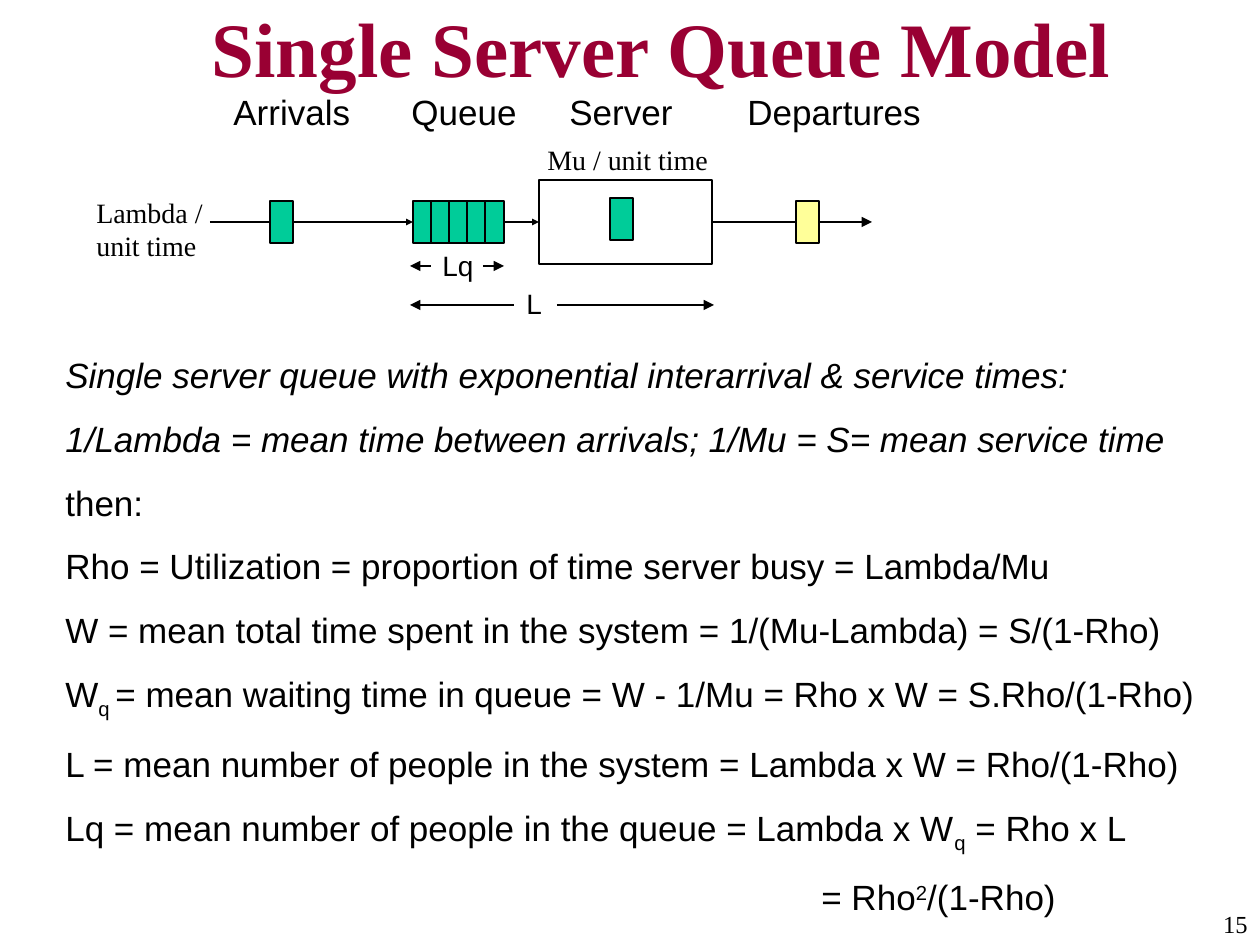
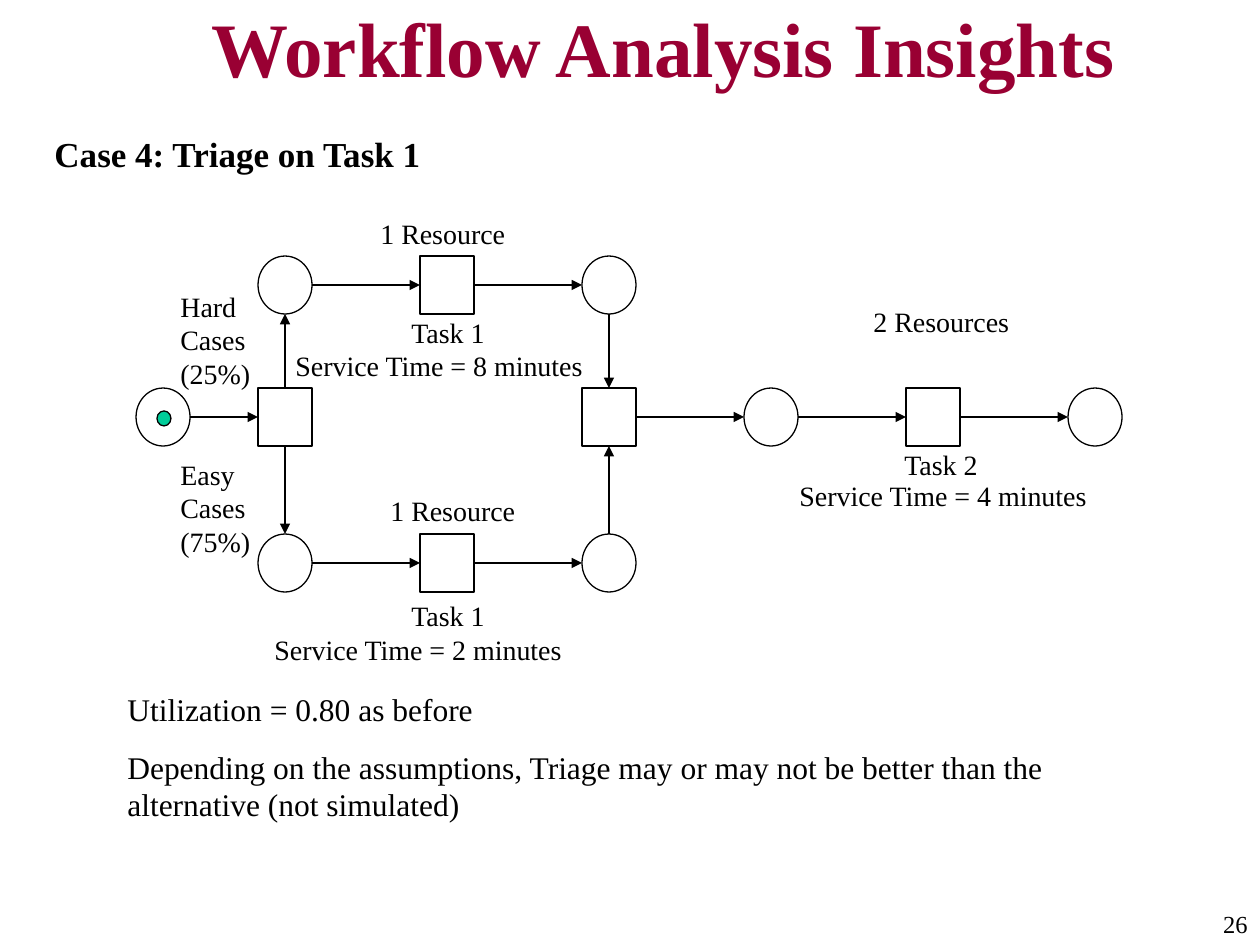
import dataclasses
import itertools
import typing

import pptx
import pptx.dml.color
import pptx.enum.shapes
import pptx.enum.text
import pptx.oxml.ns
import pptx.oxml.xmlchemy
import pptx.shapes.autoshape
import pptx.shapes.connector
import pptx.slide
import pptx.text.text
import pptx.util
from lxml import etree

PX = 914400 / 126
RECTANGLE = pptx.enum.shapes.MSO_SHAPE.RECTANGLE
OVAL = pptx.enum.shapes.MSO_SHAPE.OVAL
ALIGN = pptx.enum.text.PP_ALIGN
TOP, LEFT, BOTTOM, RIGHT = range(4)


@dataclasses.dataclass(frozen=True)
class Theme:
    ink: pptx.dml.color.RGBColor = pptx.dml.color.RGBColor.from_string("000000")
    title: pptx.dml.color.RGBColor = pptx.dml.color.RGBColor.from_string("990033")
    waiting: pptx.dml.color.RGBColor = pptx.dml.color.RGBColor.from_string("00CC99")
    served: pptx.dml.color.RGBColor = pptx.dml.color.RGBColor.from_string("FFFF99")
    serif: str = "Times New Roman"
    sans: str = "Arial"
    title_size: float = 44
    heading_size: float = 20
    note_size: float = 18
    label_size: float = 16
    number_size: float = 14
    thin: float = 0.75
    medium: float = 1


THEME = Theme()


class Area(typing.NamedTuple):
    left: int
    top: int
    width: int
    height: int


class Point(typing.NamedTuple):
    x: int
    y: int


class Joint(typing.NamedTuple):
    shape: pptx.shapes.autoshape.Shape
    side: int


class Span(typing.NamedTuple):
    text: str
    baseline: int = 0


@dataclasses.dataclass(frozen=True)
class Line:
    spans: tuple[Span, ...]
    italic: bool = False
    indent: int = 0


@dataclasses.dataclass(frozen=True)
class Label:
    text: str
    area: Area
    size: float = THEME.label_size
    face: str = THEME.serif
    bold: bool = False
    align: ALIGN = ALIGN.LEFT


def emu(length: float) -> int:
    return round(length * PX)


def place(area: Area) -> tuple[int, ...]:
    return tuple(emu(length) for length in area)


def line(text: str, italic: bool = False) -> Line:
    return Line((Span(text),), italic)


def write(para: pptx.text.text._Paragraph, text: str, *, size: float,
          face: str = THEME.serif, color: pptx.dml.color.RGBColor = THEME.ink,
          bold: bool = False, italic: bool = False, baseline: int = 0) -> None:
    for index, piece in enumerate(text.split("\n")):
        if index:
            para.add_line_break()
        span = para.add_run()
        span.text = piece
        span.font.size = pptx.util.Pt(size)
        span.font.name = face
        span.font.color.rgb = color
        span.font.bold = bold
        span.font.italic = italic
        if baseline:
            span._r.get_or_add_rPr().set("baseline", str(baseline * 1000))


def add_box(page: pptx.slide.Slide, area: Area) -> pptx.text.text.TextFrame:
    frame = page.shapes.add_textbox(*place(area)).text_frame
    frame.word_wrap = True
    return frame


def add_label(page: pptx.slide.Slide, label: Label) -> None:
    para = add_box(page, label.area).paragraphs[0]
    para.alignment = label.align
    write(para, label.text, size=label.size, face=label.face, bold=label.bold)


def add_lines(page: pptx.slide.Slide, area: Area, lines: list[Line], *,
              size: float, face: str, gap: float) -> None:
    frame = add_box(page, area)
    for index, entry in enumerate(lines):
        para = frame.add_paragraph() if index else frame.paragraphs[0]
        if index:
            para.space_before = pptx.util.Pt(gap)
        if entry.indent:
            para._p.get_or_add_pPr().set("marL", str(emu(entry.indent)))
        for span in entry.spans:
            write(para, span.text, size=size, face=face, italic=entry.italic,
                  baseline=span.baseline)


def add_figure(page: pptx.slide.Slide, kind: pptx.enum.shapes.MSO_SHAPE, area: Area, *,
               fill: pptx.dml.color.RGBColor | None = None,
               weight: float = THEME.thin) -> pptx.shapes.autoshape.Shape:
    shape = page.shapes.add_shape(kind, *place(area))
    shape.shadow.inherit = False
    if fill is None:
        shape.fill.background()
    else:
        shape.fill.solid()
        shape.fill.fore_color.rgb = fill
    shape.line.color.rgb = THEME.ink
    shape.line.width = pptx.util.Pt(weight)
    return shape


def locate(end: Point | Joint) -> tuple[int, int]:
    if isinstance(end, Point):
        return emu(end.x), emu(end.y)
    shape, side = end
    x = shape.left + {LEFT: 0, RIGHT: shape.width}.get(side, shape.width // 2)
    y = shape.top + {TOP: 0, BOTTOM: shape.height}.get(side, shape.height // 2)
    return x, y


def add_link(page: pptx.slide.Slide, start: Point | Joint, end: Point | Joint, *,
             weight: float = THEME.thin, head: str | None = "med") -> None:
    link = page.shapes.add_connector(
        pptx.enum.shapes.MSO_CONNECTOR.STRAIGHT, *locate(start), *locate(end))
    for joint, connect in ((start, link.begin_connect), (end, link.end_connect)):
        if isinstance(joint, Joint) and joint.shape.auto_shape_type == RECTANGLE:
            connect(joint.shape, joint.side)
    link.line.color.rgb = THEME.ink
    link.line.width = pptx.util.Pt(weight)
    qn = pptx.oxml.ns.qn
    if head:
        etree.SubElement(link.line._get_or_add_ln(), qn("a:tailEnd"),
                         type="triangle", w=head, len=head)
    etree.SubElement(link._element.spPr, qn("a:effectLst"))


def add_page(deck: pptx.presentation.Presentation, title: str, number: int) -> pptx.slide.Slide:
    page = deck.slides.add_slide(deck.slide_layouts[5])
    heading = page.shapes.title
    heading.left, heading.top, heading.width, heading.height = place(Area(199, 10, 1061, 73))
    frame = heading.text_frame
    frame.word_wrap = True
    frame.auto_size = pptx.enum.text.MSO_AUTO_SIZE.NONE
    frame.vertical_anchor = pptx.enum.text.MSO_ANCHOR.MIDDLE
    frame.paragraphs[0].alignment = ALIGN.LEFT
    write(frame.paragraphs[0], title, size=THEME.title_size, color=THEME.title, bold=True)
    add_label(page, Label(str(number), Area(1081, 903, 179, 42), THEME.number_size,
                          align=ALIGN.RIGHT))
    return page


def build_queue_page(deck: pptx.presentation.Presentation) -> None:
    page = add_page(deck, "Single Server Queue Model", 15)
    axis, cell_top, cell_height, customer_width = 222, 201, 42, 23

    def add_customer(left: int, top: int = cell_top, width: int = customer_width,
                     fill: pptx.dml.color.RGBColor = THEME.waiting
                     ) -> pptx.shapes.autoshape.Shape:
        return add_figure(page, RECTANGLE, Area(left, top, width, cell_height),
                          fill=fill, weight=THEME.medium)

    server = add_figure(page, RECTANGLE, Area(539, 180, 173, 84))
    add_link(page, Joint(server, RIGHT), Point(872, axis))
    queue = [add_customer(413 + 18 * index, width=19) for index in range(5)]
    arrival = add_customer(270)
    add_customer(796, fill=THEME.served)
    add_customer(610, top=198)
    add_link(page, Point(210, axis), Joint(arrival, LEFT), weight=THEME.medium, head=None)
    for start, end in ((arrival, queue[0]), (queue[-1], server)):
        add_link(page, Joint(start, RIGHT), Joint(end, LEFT), weight=THEME.medium, head="sm")
    for start, end, y in ((514, 410, 305), (557, 714, 305), (483, 504, 266), (431, 410, 266)):
        add_link(page, Point(start, y), Point(end, y))

    for text, left, width in (("Arrivals", 221, 178), ("Queue", 399, 178),
                              ("Server", 557, 178), ("Departures", 735, 221)):
        add_label(page, Label(text, Area(left, 84, width, 55), THEME.heading_size, THEME.sans))
    for label in (
        Label("Lambda / unit time", Area(84, 189, 136, 81)),
        Label("Mu / unit time", Area(535, 136, 199, 47)),
        Label("Lq", Area(430, 242, 73, 47), face=THEME.sans),
        Label("L", Area(514, 280, 42, 47), face=THEME.sans),
    ):
        add_label(page, label)

    formulas = [
        line("Single server queue with exponential interarrival & service times:", True),
        line("1/Lambda = mean time between arrivals; 1/Mu = S= mean service time", True),
        line("then:"),
        line("Rho = Utilization = proportion of time server busy = Lambda/Mu"),
        line("W = mean total time spent in the system = 1/(Mu-Lambda) = S/(1-Rho)"),
        Line((Span("W"), Span("q ", -25),
              Span("= mean waiting time in queue = W - 1/Mu = Rho x W = S.Rho/(1-Rho)"))),
        line("L = mean number of people in the system = Lambda x W = Rho/(1-Rho)"),
        Line((Span("Lq = mean number of people in the queue = Lambda x W"),
              Span("q", -25), Span(" = Rho x L"))),
        Line((Span("= Rho"), Span("2", 30), Span("/(1-Rho)")), indent=756),
    ]
    add_lines(page, Area(53, 347, 1160, 577), formulas,
              size=THEME.heading_size, face=THEME.sans, gap=12.5)


def build_triage_page(deck: pptx.presentation.Presentation) -> None:
    page = add_page(deck, "Workflow Analysis Insights", 26)
    columns = [136] + [258 + 162 * index for index in range(6)]
    rows = (256, 388, 534)
    branch = {1: OVAL, 2: RECTANGLE, 3: OVAL}
    main = {0: OVAL, 1: RECTANGLE, 3: RECTANGLE, 4: OVAL, 5: RECTANGLE, 6: OVAL}
    nodes = {
        (column, row): add_figure(page, kind, Area(columns[column], rows[row], 54, 58))
        for row, kinds in enumerate((branch, main, branch))
        for column, kind in kinds.items()
    }
    add_figure(page, OVAL, Area(157, 411, 14, 15), fill=THEME.waiting)

    routes = [[(0, 1), (1, 1)], [(3, 1), (4, 1), (5, 1), (6, 1)]]
    routes += [[(1, 1), (1, row), (2, row), (3, row), (3, 1)] for row in (0, 2)]
    for route in routes:
        for start, end in itertools.pairwise(route):
            if start[1] == end[1]:
                sides = RIGHT, LEFT
            else:
                sides = (BOTTOM, TOP) if start[1] < end[1] else (TOP, BOTTOM)
            add_link(page, Joint(nodes[start], sides[0]), Joint(nodes[end], sides[1]))

    for text, left, top, width in (
        ("Task 1", 399, 592, 116),
        ("Task 2", 892, 441, 116),
        ("Service Time = 2 minutes", 262, 626, 420),
        ("Service Time = 4 minutes", 787, 472, 420),
        ("1 Resource", 368, 210, 199),
        ("2 Resources", 861, 298, 199),
        ("1 Resource", 378, 487, 199),
        ("Task 1", 399, 309, 116),
        ("Service Time = 8 minutes", 283, 342, 420),
    ):
        add_label(page, Label(text, Area(left, top, width, 47)))
    for text, top in (("Easy Cases\n(75%)", 451), ("Hard Cases\n(25%)", 283)):
        add_label(page, Label(text, Area(168, top, 105, 114)))
    add_label(page, Label("Case 4: Triage on Task 1", Area(42, 126, 588, 55),
                          THEME.heading_size, bold=True))
    add_lines(page, Area(115, 684, 998, 146), [
        line("Utilization = 0.80 as before"),
        line("Depending on the assumptions, Triage may or may not be better than the "
             "alternative (not simulated)"),
    ], size=THEME.note_size, face=THEME.serif, gap=11.2)


def main() -> None:
    deck = pptx.Presentation()
    deck.slide_width, deck.slide_height = emu(1260), emu(945)
    build_queue_page(deck)
    build_triage_page(deck)
    deck.save("out.pptx")


if __name__ == "__main__":
    main()
